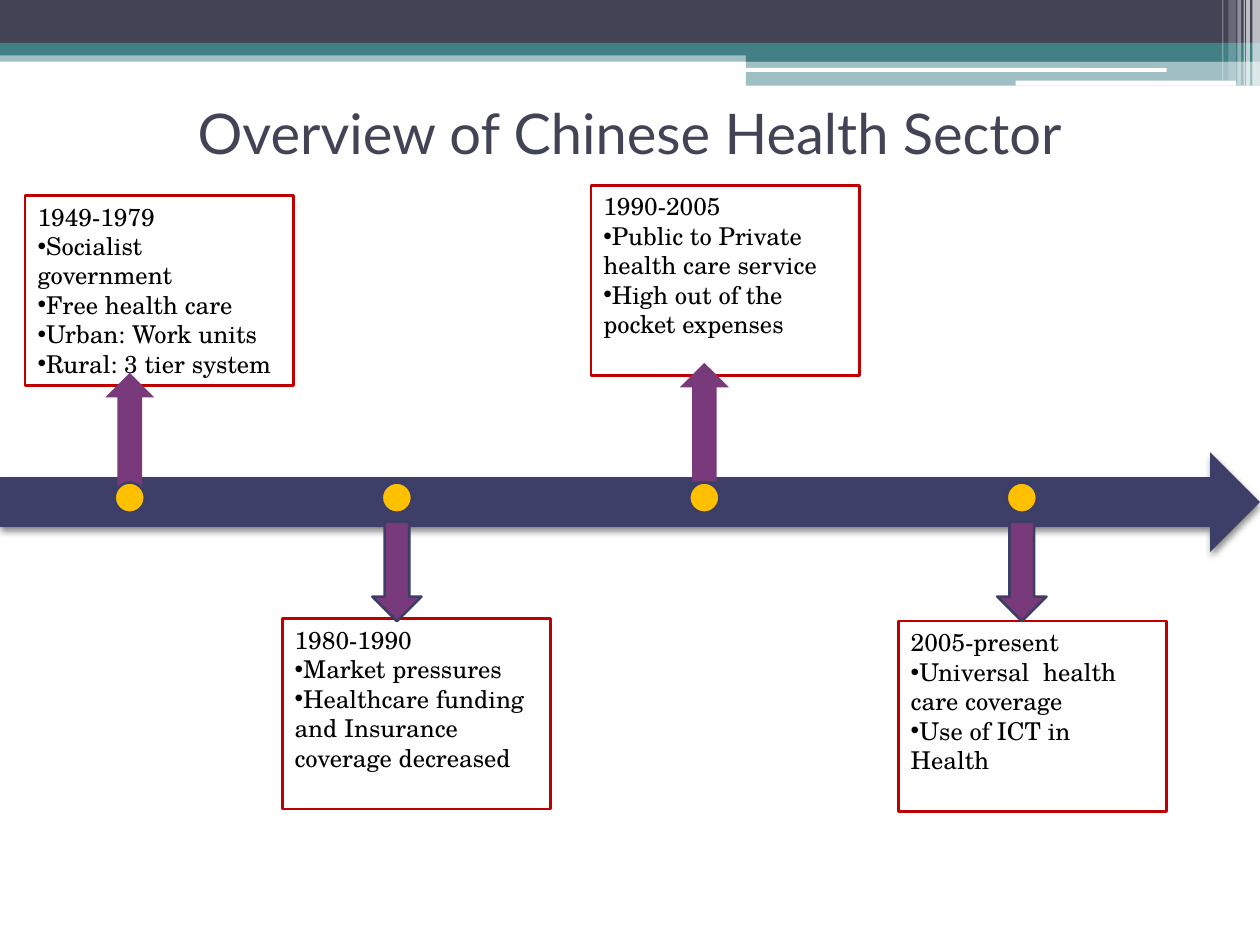
import pptx
import pptx.util
import pptx.dml.color
import pptx.enum.shapes
import pptx.enum.text
from lxml import etree
from pptx.oxml.ns import qn

RGBColor = pptx.dml.color.RGBColor
SHAPE = pptx.enum.shapes.MSO_SHAPE
ANCHOR = pptx.enum.text.MSO_ANCHOR
ALIGN = pptx.enum.text.PP_ALIGN

SLATE = RGBColor(0x42, 0x44, 0x56)
TEAL = RGBColor(0x43, 0x80, 0x86)
WHITE = RGBColor(0xFF, 0xFF, 0xFF)
BLACK = RGBColor(0x00, 0x00, 0x00)
NAVY = RGBColor(0x3E, 0x3F, 0x68)
OUTLINE = RGBColor(0x3D, 0x3E, 0x66)
RED = RGBColor(0xC0, 0x00, 0x00)
GOLD = RGBColor(0xFF, 0xC0, 0x00)
PURPLE = RGBColor(0x78, 0x3A, 0x7A)

TITLE_FONT = "Lato"
BODY_FONT = "TeX Gyre Schola"

# The slide is a grid of 100 columns by 75 rows
WIDTH, HEIGHT = pptx.util.Inches(10), pptx.util.Inches(7.5)
COLUMN, ROW = WIDTH / 100, HEIGHT / 75

# Header: left, top, width, height, colour, opacity in percent
BANDS = [
    (0, 4, 100, 0.9, TEAL, 50),
    (0, 0, 100, 3.4, SLATE, 100),
    (0, 3.4, 100, 1, TEAL, 100),
    (59.2, 3.9, 40.8, 1, TEAL, 100),
    (59.2, 4.8, 40.8, 2, TEAL, 50),
]
RULES = [(59.1, 5.4, 33.5, 0.3), (80.6, 6.4, 17.5, 0.4)]
# Vertical stripes: left, width, height, opacity
STRIPES = [
    (99.4, 0.6, 6.8, 65),
    (98.9, 0.3, 6.8, 65),
    (98.7, 0.1, 6.8, 60),
    (98.2, 0.3, 6.8, 40),
    (97.5, 0.6, 6.4, 20),
    (97, 0.1, 6.4, 30),
]

# Timeline
BOX_WIDTH, BOX_HEIGHT = 21.3, 15.1
ARROW_WIDTH = 3.9
UP_LENGTH, DOWN_LENGTH = 9.4, 7.9
DOWN_TOP = 41.4
DOT_SIZE, DOT_TOP = 2.4, 38.3

# Centre of the dot, left and top of the box, period, points
ABOVE = [
    (10.3, 2, 15.5, "1949-1979",
     ["Socialist government", "Free health care",
      "Urban: Work units", "Rural: 3 tier system"]),
    (55.9, 46.9, 14.7, "1990-2005",
     ["Public to Private health care service",
      "High out of the pocket expenses"]),
]
BELOW = [
    (31.5, 22.4, 49.1, "1980-1990",
     ["Market pressures",
      "Healthcare funding and Insurance coverage decreased"]),
    (81.1, 71.3, 49.3, "2005-present",
     ["Universal  health care coverage", "Use of ICT in Health"]),
]


def place(left, top, width, height):
    return (round(left * COLUMN), round(top * ROW),
            round(width * COLUMN), round(height * ROW))


def add_figure(slide, kind, area, fill=None, line=None, opacity=100):
    figure = slide.shapes.add_shape(kind, *place(*area))
    figure.shadow.inherit = False
    if fill is None:
        figure.fill.background()
    else:
        figure.fill.solid()
        figure.fill.fore_color.rgb = fill
    if opacity < 100:
        colour = figure.fill._xPr.find(".//" + qn("a:srgbClr"))
        etree.SubElement(colour, qn("a:alpha"), val=str(opacity * 1000))
    if line is None:
        figure.line.fill.background()
    else:
        figure.line.color.rgb = line
        figure.line.width = pptx.util.Pt(1.5)
    return figure


def add_drop_shadow(figure):
    effects = figure._element.spPr.find(qn("a:effectLst"))
    shadow = etree.SubElement(
        effects, qn("a:outerShdw"), blurRad=str(pptx.util.Pt(4)),
        dist=str(pptx.util.Pt(2)), dir=str(90 * 60000), rotWithShape="0")
    colour = etree.SubElement(shadow, qn("a:srgbClr"), val=str(BLACK))
    etree.SubElement(colour, qn("a:alpha"), val="45000")


def write(paragraph, text, font, size, colour, align):
    paragraph.text = text
    paragraph.alignment = align
    for run in paragraph.runs:
        run.font.name = font
        run.font.size = pptx.util.Pt(size)
        run.font.color.rgb = colour


def add_bullet(paragraph):
    properties = paragraph._p.get_or_add_pPr()
    properties.set("marL", "0")
    properties.set("indent", "0")
    etree.SubElement(properties, qn("a:buFont"), typeface="Arial")
    etree.SubElement(properties, qn("a:buChar"), char="•")


def add_header(slide):
    for *area, colour, opacity in BANDS:
        add_figure(slide, SHAPE.RECTANGLE, area, colour, opacity=opacity)
    for area in RULES:
        add_figure(slide, SHAPE.ROUNDED_RECTANGLE, area, WHITE)
    for left, width, height, opacity in STRIPES:
        add_figure(slide, SHAPE.RECTANGLE, (left, 0, width, height),
                   WHITE, opacity=opacity)


def add_title(slide, text):
    frame = slide.shapes.add_textbox(*place(5, 4.6, 90, 11.7)).text_frame
    frame.word_wrap = True
    frame.vertical_anchor = ANCHOR.MIDDLE
    write(frame.paragraphs[0], text, TITLE_FONT, 32, SLATE, ALIGN.CENTER)


def add_period(slide, left, top, period, points):
    box = add_figure(slide, SHAPE.RECTANGLE,
                     (left, top, BOX_WIDTH, BOX_HEIGHT), line=RED)
    frame = box.text_frame
    frame.word_wrap = True
    frame.vertical_anchor = ANCHOR.TOP
    write(frame.paragraphs[0], period, BODY_FONT, 14, BLACK, ALIGN.LEFT)
    for point in points:
        paragraph = frame.add_paragraph()
        write(paragraph, point, BODY_FONT, 14, BLACK, ALIGN.LEFT)
        add_bullet(paragraph)


def add_dot(slide, centre):
    add_figure(slide, SHAPE.OVAL,
               (centre - DOT_SIZE / 2, DOT_TOP, DOT_SIZE, DOT_SIZE),
               GOLD, OUTLINE)


def add_pointer(slide, kind, centre, top, length, line=None):
    add_figure(slide, kind,
               (centre - ARROW_WIDTH / 2, top, ARROW_WIDTH, length),
               PURPLE, line)


def main():
    deck = pptx.Presentation()
    deck.slide_width, deck.slide_height = WIDTH, HEIGHT
    slide = deck.slides.add_slide(deck.slide_layouts[6])

    add_header(slide)
    add_title(slide, "Overview of Chinese Health Sector")

    # Time axis
    axis = add_figure(slide, SHAPE.RIGHT_ARROW, (0, 35.9, 100, 7.9), NAVY)
    add_drop_shadow(axis)

    # Periods above the axis; each pointer overlaps its box by one row
    for centre, left, top, period, points in ABOVE:
        add_period(slide, left, top, period, points)
        add_pointer(slide, SHAPE.UP_ARROW, centre,
                    top + BOX_HEIGHT - 1, UP_LENGTH)
        add_dot(slide, centre)

    # Periods below the axis
    for centre, left, top, period, points in BELOW:
        add_period(slide, left, top, period, points)
        add_pointer(slide, SHAPE.DOWN_ARROW, centre,
                    DOWN_TOP, DOWN_LENGTH, OUTLINE)
        add_dot(slide, centre)

    deck.save("out.pptx")


if __name__ == "__main__":
    main()
